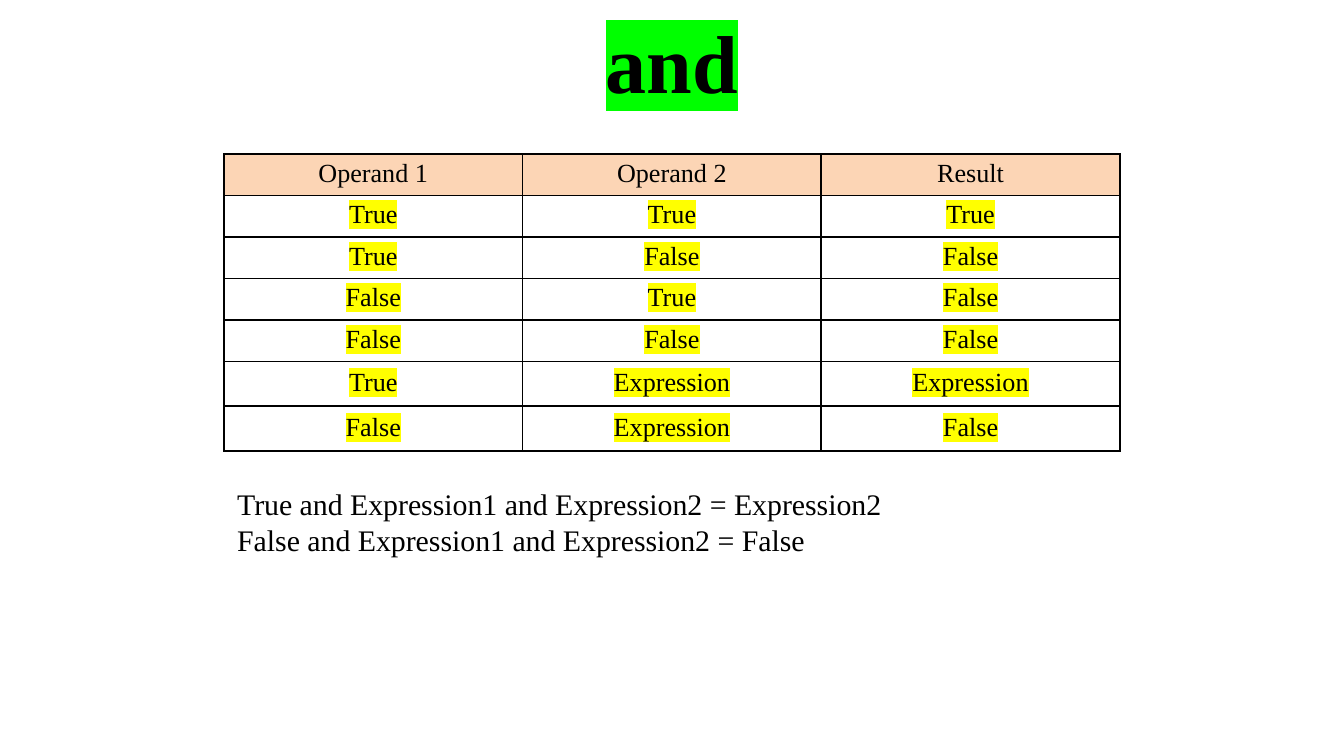
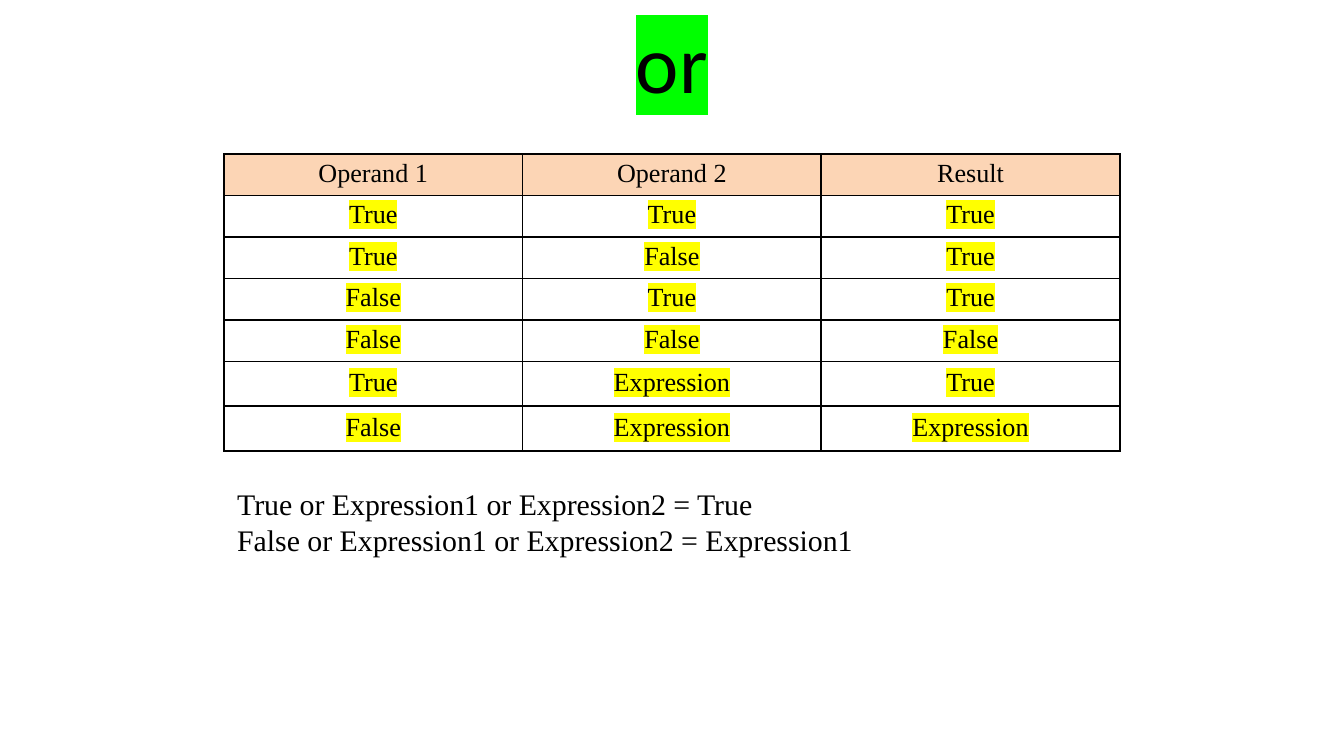
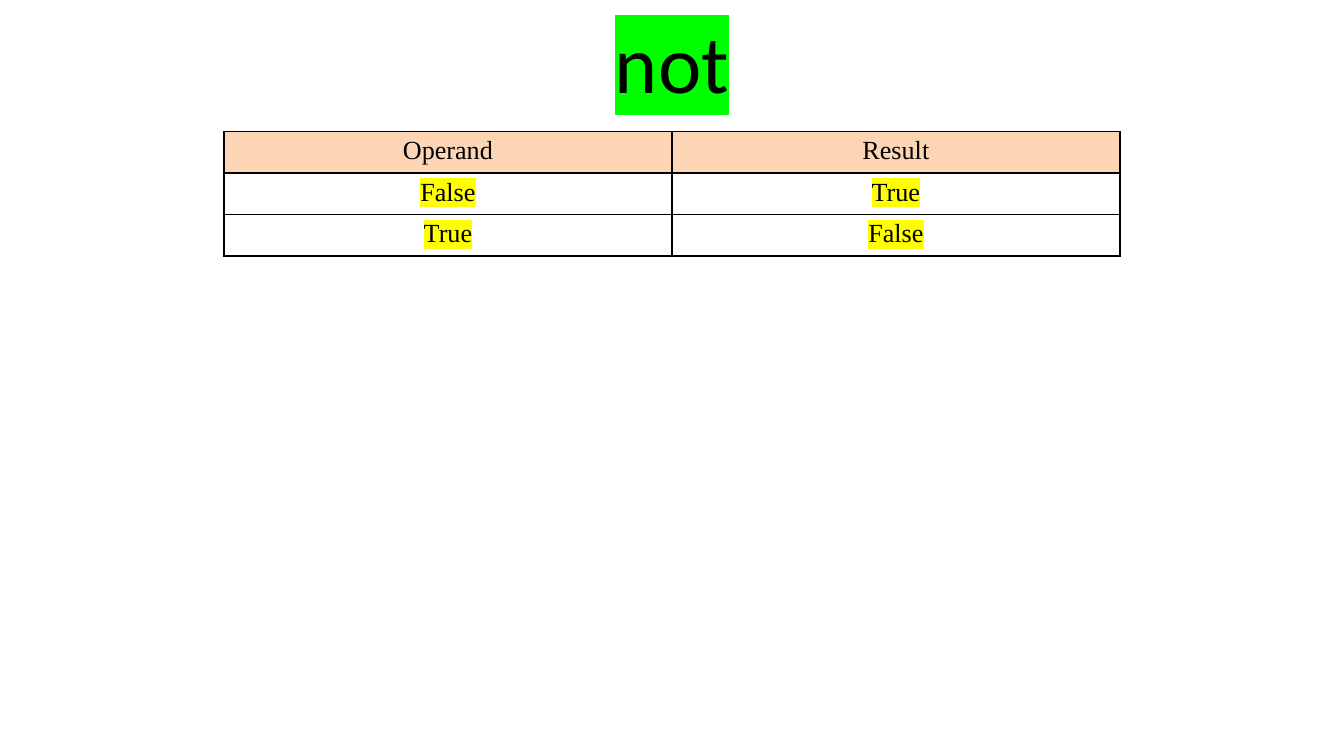
from pptx import Presentation
from pptx.dml.color import RGBColor
from pptx.enum.text import MSO_ANCHOR, PP_ALIGN
from pptx.oxml.ns import qn
from pptx.util import Pt
from lxml import etree

CENTER, LEFT = PP_ALIGN.CENTER, PP_ALIGN.LEFT
MIDDLE = MSO_ANCHOR.MIDDLE
SERIF, SANS = "Times New Roman", "Calibri"
BLACK, PEACH, GREEN, YELLOW = "000000", "FCD5B5", "00FF00", "FFFF00"

WIDE, HIGH = 720, 405
EDGE, SPAN = 120, 480
ROW, PAD, TIGHT = 21.9, 3.6, 2.7

HEAD = ("Operand 1", "Operand 2", "Result")
SLIDES = [
    {
        "title": "and", "font": SERIF, "bold": True, "top": 82.5,
        "rows": [
            HEAD,
            ("True", "True", "True"),
            ("True", "False", "False"),
            ("False", "True", "False"),
            ("False", "False", "False"),
            ("True", "Expression", "Expression"),
            ("False", "Expression", "False"),
        ],
        "notes": ["True and Expression1 and Expression2 = Expression2",
                  "False and Expression1 and Expression2 = False"],
    },
    {
        "title": "or", "font": SANS, "bold": False, "top": 82.5,
        "rows": [
            HEAD,
            ("True", "True", "True"),
            ("True", "False", "True"),
            ("False", "True", "True"),
            ("False", "False", "False"),
            ("True", "Expression", "True"),
            ("False", "Expression", "Expression"),
        ],
        "notes": ["True or Expression1 or Expression2 = True",
                  "False or Expression1 or Expression2 = Expression1"],
    },
    {
        "title": "not", "font": SANS, "bold": False, "top": 70.5,
        "rows": [("Operand", "Result"), ("False", "True"), ("True", "False")],
        "notes": [],
    },
]


def color(code):
    return RGBColor.from_string(code)


def style(frame, size, name=SERIF, bold=False, align=LEFT, mark=None):
    """Format every run of a text frame; mark is the highlight colour."""
    for para in frame.paragraphs:
        para.alignment = align
        for run in para.runs:
            font = run.font
            font.size, font.name, font.bold = Pt(size), name, bold
            font.color.rgb = color(BLACK)
            if mark:
                light = etree.Element(qn("a:highlight"))
                etree.SubElement(light, qn("a:srgbClr"), val=mark)
                props = run._r.get_or_add_rPr()
                props.find(qn("a:solidFill")).addnext(light)


def add_text(slide, text, left, top, width, height):
    frame = slide.shapes.add_textbox(
        Pt(left), Pt(top), Pt(width), Pt(height)).text_frame
    frame.word_wrap = True
    frame.text = text
    return frame


def border(cell):
    props = cell._tc.get_or_add_tcPr()
    for spot, side in enumerate("LRTB"):
        line = etree.Element(qn("a:ln" + side), w=str(Pt(1)))
        fill = etree.SubElement(line, qn("a:solidFill"))
        etree.SubElement(fill, qn("a:srgbClr"), val=BLACK)
        props.insert(spot, line)


def add_grid(slide, rows, top):
    count = len(rows[0])
    table = slide.shapes.add_table(
        len(rows), count, Pt(EDGE), Pt(top), Pt(SPAN), Pt(ROW * len(rows))).table
    table.first_row = table.horz_banding = False
    for col in table.columns:
        col.width = Pt(SPAN / count)
    for r, row in enumerate(rows):
        table.rows[r].height = Pt(ROW)
        for c, word in enumerate(row):
            cell = table.cell(r, c)
            cell.text = word
            pad = PAD if "Expression" in row else TIGHT
            cell.margin_top = cell.margin_bottom = Pt(pad)
            if r == 0:
                cell.fill.solid()
                cell.fill.fore_color.rgb = color(PEACH)
            else:
                cell.fill.background()
            border(cell)
            style(cell.text_frame, 14, align=CENTER, mark=YELLOW if r else None)


def main():
    deck = Presentation()
    deck.slide_width, deck.slide_height = Pt(WIDE), Pt(HIGH)
    for data in SLIDES:
        slide = deck.slides.add_slide(deck.slide_layouts[6])
        title = add_text(slide, data["title"], 36, -1.5, WIDE - 72, 67.5)
        title.vertical_anchor = MIDDLE
        style(title, 44, data["font"], data["bold"], CENTER, GREEN)
        add_grid(slide, data["rows"], data["top"])
        if data["notes"]:
            notes = add_text(slide, "\n".join(data["notes"]), EDGE, 256.5, 402, 46)
            style(notes, 16)
    deck.save("out.pptx")


if __name__ == "__main__":
    main()
